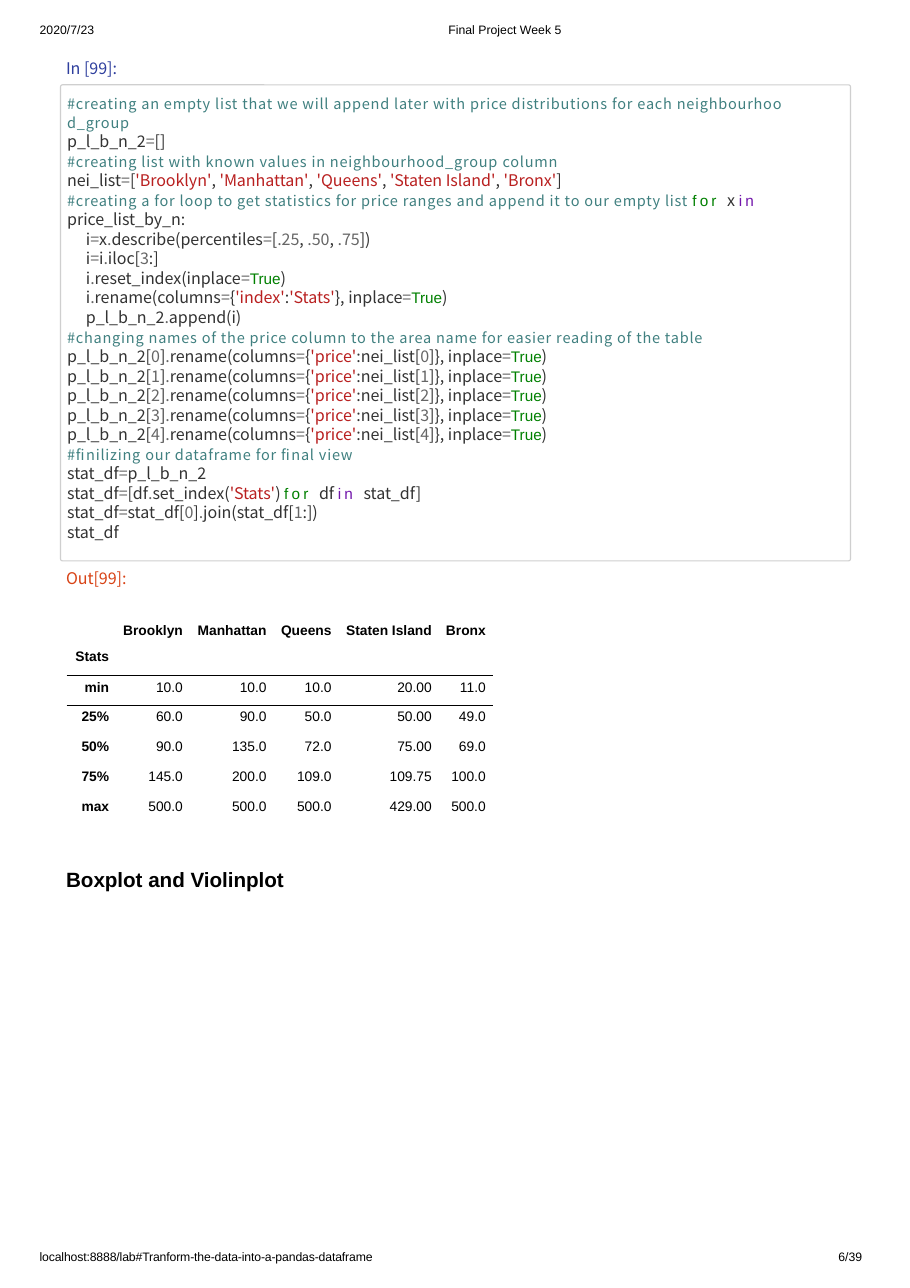
from dataclasses import dataclass

from lxml import etree
from pptx import Presentation
from pptx.dml.color import RGBColor
from pptx.enum import shapes, text
from pptx.oxml.ns import qn
from pptx.util import Inches, Pt


@dataclass(frozen=True)
class Theme:
    sans: str = "Arial"
    code: str = "Noto Sans CJK SC"
    black: str = "000000"
    border: str = "CFCFCF"
    prompt_in: str = "2F3F9E"
    prompt_out: str = "D84215"
    comment: str = "408080"
    name: str = "333333"
    operator: str = "666666"
    string: str = "B92020"
    keyword: str = "008000"
    membership: str = "7216AB"
    small: float = 8
    table: float = 9
    heading: float = 13.5
    code_size: float = 10.5
    comment_size: float = 9.5
    keyword_size: float = 10
    code_pitch: float = 12.75


THEME = Theme()

# Code lines: "|" separates the tokens, a leading ">" indents the line
RENAMES = [
    f"p_l_b_n_2[|{i}|]|.|rename(columns|=|{{|'price'|:nei_list[|{i}|]}}, inplace|=|True|)"
    for i in range(5)
]
CODE = [
    "#creating an empty list that we will append later with price distributions for each neighbourhoo",
    "#d_group",
    "p_l_b_n_2|=|[]",
    "#creating list with known values in neighbourhood_group column",
    "nei_list|=|[|'Brooklyn'|, |'Manhattan'|, |'Queens'|, |'Staten Island'|, |'Bronx'|]",
    "#creating a for loop to get statistics for price ranges and append it to our empty list "
    "|for |x |in ",
    "price_list_by_n:",
    ">i|=|x|.|describe(percentiles|=|[|.25|, |.50|, |.75|])",
    ">i|=|i|.|iloc[|3|:]",
    ">i|.|reset_index(inplace|=|True|)",
    ">i|.|rename(columns|=|{|'index'|:|'Stats'|}, inplace|=|True|)",
    ">p_l_b_n_2|.|append(i)",
    "#changing names of the price column to the area name for easier reading of the table",
    *RENAMES,
    "#finilizing our dataframe for final view",
    "stat_df|=|p_l_b_n_2",
    "stat_df|=|[df|.|set_index(|'Stats'|) |for |df |in |stat_df]",
    "stat_df|=|stat_df[|0|]|.|join(stat_df[|1|:])",
    "stat_df",
]
WRAPPED_COMMENT = "#d_group"  # second half of a comment, shown without the "#"

STATS = [
    ["Stats", "Brooklyn", "Manhattan", "Queens", "Staten Island", "Bronx"],
    ["min", "10.0", "10.0", "10.0", "20.00", "11.0"],
    ["25%", "60.0", "90.0", "50.0", "50.00", "49.0"],
    ["50%", "90.0", "135.0", "72.0", "75.00", "69.0"],
    ["75%", "145.0", "200.0", "109.0", "109.75", "100.0"],
    ["max", "500.0", "500.0", "500.0", "429.00", "500.0"],
]
COLUMN_WIDTHS = [0.44, 0.67, 0.76, 0.59, 0.91, 0.49]
ROW_HEIGHTS = [0.48, 0.27, 0.27, 0.27, 0.27, 0.21]


def add_run(paragraph, words, size, color, font=THEME.sans, bold=False, spacing=0):
    run = paragraph.add_run()
    run.text = words
    run.font.name = font
    run.font.size = Pt(size)
    run.font.bold = bold
    run.font.color.rgb = RGBColor.from_string(color)
    if spacing:
        run._r.get_or_add_rPr().set("spc", str(round(spacing * 100)))


def add_text_frame(slide, left, top, width, height, wrap=False):
    box = slide.shapes.add_textbox(Inches(left), Inches(top), Inches(width), Inches(height))
    frame = box.text_frame
    frame.word_wrap = wrap
    frame.margin_left = frame.margin_top = frame.margin_right = frame.margin_bottom = 0
    return frame


def add_label(slide, left, top, width, height, words, size=THEME.small, bold=False, spacing=0):
    frame = add_text_frame(slide, left, top, width, height)
    add_run(frame.paragraphs[0], words, size, THEME.black, bold=bold, spacing=spacing)


def add_token(paragraph, token):
    """Add one code token, styled by what it is."""
    if token.startswith("#"):
        words = token[1:] if token == WRAPPED_COMMENT else token
        add_run(paragraph, words, THEME.comment_size, THEME.comment, THEME.code, spacing=0.5)
    elif token in ("for ", "in "):
        color = THEME.keyword if token == "for " else THEME.membership
        add_run(paragraph, token, THEME.keyword_size, color, spacing=2.1)
    elif token == "True":
        add_run(paragraph, token, THEME.keyword_size, THEME.keyword)
    else:
        if token.startswith("'"):
            color = THEME.string
        elif not token.strip("=.0123456789"):
            color = THEME.operator
        else:
            color = THEME.name
        add_run(paragraph, token, THEME.code_size, color, THEME.code)


def set_line(paragraph, indent, before=0):
    paragraph.line_spacing = Pt(THEME.code_pitch)
    paragraph.space_before = Pt(before)
    paragraph._p.get_or_add_pPr().set("marL", str(Inches(indent)))


def add_code_cell(slide):
    # Frame around the code
    border = slide.shapes.add_shape(shapes.MSO_SHAPE.ROUNDED_RECTANGLE,
                                    Inches(0.55), Inches(0.77), Inches(7.17), Inches(4.32))
    border.adjustments[0] = 0.004
    border.shadow.inherit = False
    border.fill.background()
    border.line.color.rgb = RGBColor.from_string(THEME.border)
    border.line.width = Pt(0.75)

    # Prompts and code lines
    frame = add_text_frame(slide, 0.59, 0.53, 7.04, 4.81, wrap=True)
    prompt = frame.paragraphs[0]
    set_line(prompt, 0.01)
    add_run(prompt, "In\u00a0[99]:", THEME.code_size, THEME.prompt_in, THEME.code)
    for number, line in enumerate(CODE):
        paragraph = frame.add_paragraph()
        set_line(paragraph, 0.19 if line.startswith(">") else 0.02, 0 if number else 9.5)
        for token in line.lstrip(">").split("|"):
            add_token(paragraph, token)
    result = frame.add_paragraph()
    set_line(result, 0.01, 17.3)
    add_run(result, "Out[99]:", THEME.code_size, THEME.prompt_out, THEME.code)


def add_cell_border(cell, side, width):
    properties = cell._tc.get_or_add_tcPr()
    line = etree.Element(qn(f"a:{side}"), w=str(Pt(width)))
    fill = etree.SubElement(line, qn("a:solidFill"))
    etree.SubElement(fill, qn("a:srgbClr"), val=THEME.black)
    properties.insert(0, line)


def add_stats_table(slide):
    table = slide.shapes.add_table(len(STATS), len(COLUMN_WIDTHS), Inches(0.61), Inches(5.65),
                                   Inches(sum(COLUMN_WIDTHS)), Inches(sum(ROW_HEIGHTS))).table
    table.first_row = table.horz_banding = False
    for column, width in zip(table.columns, COLUMN_WIDTHS):
        column.width = Inches(width)
    for i, (row, height) in enumerate(zip(table.rows, ROW_HEIGHTS)):
        row.height = Inches(height)
        for j, cell in enumerate(row.cells):
            cell.fill.background()
            cell.margin_left = cell.margin_bottom = 0
            cell.margin_right = Inches(0.06)
            cell.margin_top = Inches(0.04 if i else 0 if j else 0.24)
            paragraph = cell.text_frame.paragraphs[0]
            paragraph.alignment = text.PP_ALIGN.RIGHT
            add_run(paragraph, STATS[i][j], THEME.table, THEME.black, bold=i == 0 or j == 0)
            # Rules below the header and below the first row
            if i < 2:
                add_cell_border(cell, "lnB", 0.75 if i else 1)
            if i in (1, 2):
                add_cell_border(cell, "lnT", 1 if i == 1 else 0.75)


def main():
    presentation = Presentation()
    presentation.slide_width, presentation.slide_height = Inches(8.26), Inches(11.69)
    slide = presentation.slides.add_slide(presentation.slide_layouts[6])

    # Page header
    add_label(slide, 0.36, 0.2, 0.52, 0.14, "2020/7/23")
    add_label(slide, 4.07, 0.2, 1.05, 0.14, "Final Project Week 5")

    # Notebook content
    add_code_cell(slide)
    add_stats_table(slide)
    add_label(slide, 0.6, 7.87, 2.02, 0.23, "Boxplot and Violinplot", THEME.heading, bold=True)

    # Page footer
    add_label(slide, 0.36, 11.34, 3.13, 0.15,
              "localhost:8888/lab#Tranform-the-data-into-a-pandas-dataframe", spacing=-0.1)
    add_label(slide, 7.61, 11.34, 0.3, 0.15, "6/39")

    presentation.save("out.pptx")


if __name__ == "__main__":
    main()
